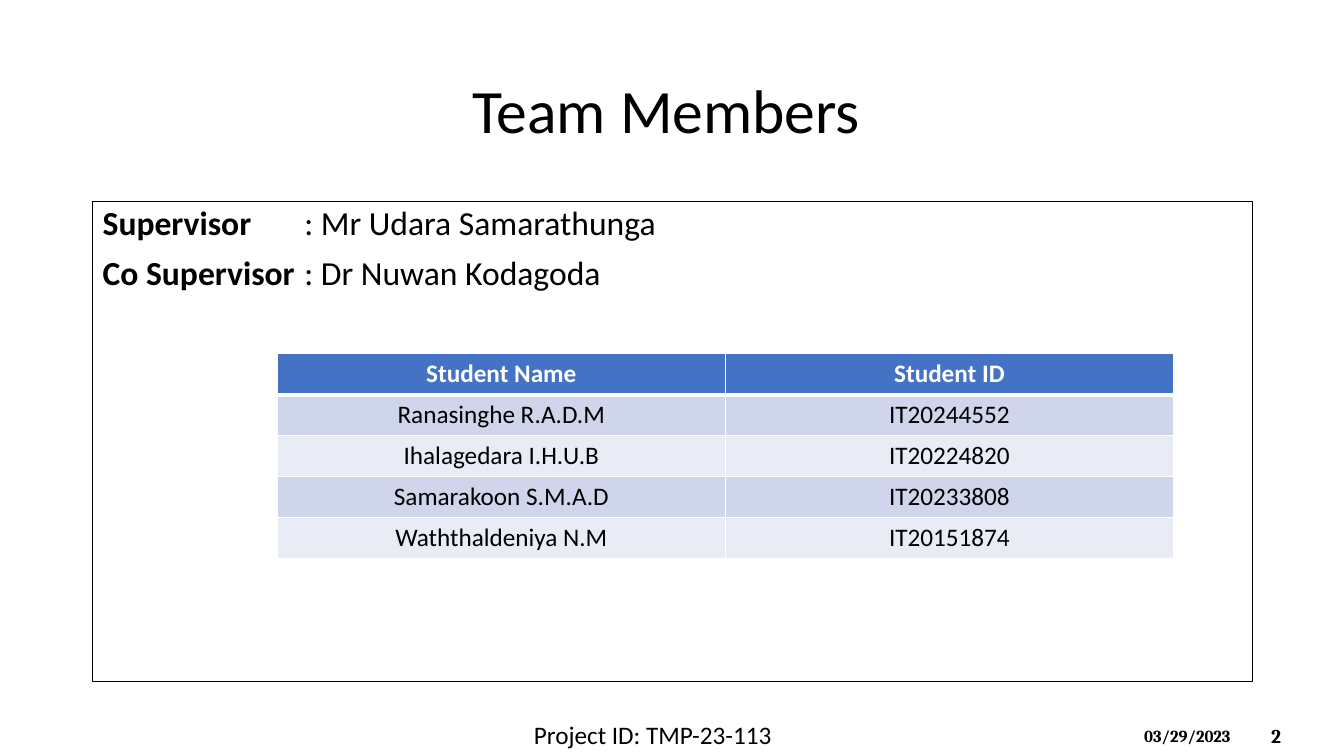
"""Build the team members slide."""
from lxml import etree
from pptx import Presentation
from pptx.dml.color import RGBColor
from pptx.enum.shapes import MSO_SHAPE
from pptx.enum.text import MSO_ANCHOR, PP_ALIGN
from pptx.oxml.ns import qn
from pptx.util import Inches, Pt

LEFT, MID = PP_ALIGN.LEFT, PP_ALIGN.CENTER
TOP, CENTER, LOW = MSO_ANCHOR.TOP, MSO_ANCHOR.MIDDLE, MSO_ANCHOR.BOTTOM
RECT = MSO_SHAPE.RECTANGLE
BLACK, WHITE, BLUE = "000000", "FFFFFF", "4472C4"
BANDS = ["CFD5EA", "E9EBF5"]

STAFF = [("Supervisor", "Mr Udara Samarathunga"),
         ("Co Supervisor", "Dr Nuwan Kodagoda")]
TEAM = [("Student Name", "Student ID"),
        ("Ranasinghe R.A.D.M", "IT20244552"),
        ("Ihalagedara I.H.U.B", "IT20224820"),
        ("Samarakoon S.M.A.D", "IT20233808"),
        ("Waththaldeniya N.M", "IT20151874")]
LABELS = [
    ("03/29/2023", (11.25, 7.15, 1.17, 0.3), TOP,
     dict(size=12, font="Cambria", bold=True)),
    ("2", (12.51, 7.1, 0.74, 0.4), CENTER,
     dict(size=14, font="Cambria", bold=True)),
    ("Project ID: TMP-23-113", (2.75, 7.09, 7.45, 0.4), CENTER,
     dict(size=18, align=MID)),
    ("Team Members", (0.86, 0.06, 11.5, 1.45), LOW,
     dict(size=44, align=MID, lead=0.9)),
]
PANEL = (0.92, 2, 11.5, 4.76)
GRID = (2.75, 3.51, 8.89, 2.03)
TAB = 2


def paint(hue):
    return RGBColor.from_string(hue)


def write(para, text, size=18, font="Calibri", hue=BLACK, bold=False,
          align=LEFT, lead=None):
    para.alignment = align
    if lead:
        para.line_spacing = lead
    run = para.add_run()
    run.text = text
    run.font.size, run.font.name, run.font.bold = Pt(size), font, bold
    run.font.color.rgb = paint(hue)


def add_tab(para, inch):
    stops = etree.SubElement(para._p.get_or_add_pPr(), qn("a:tabLst"))
    etree.SubElement(stops, qn("a:tab"), pos=str(Inches(inch)), algn="l")


def edge(cell, side, width):
    line = etree.SubElement(cell._tc.get_or_add_tcPr(), qn("a:ln" + side),
                            w=str(Pt(width)))
    fill = etree.SubElement(line, qn("a:solidFill"))
    etree.SubElement(fill, qn("a:srgbClr"), val=WHITE)


def add_label(slide, text, spot, anchor, form):
    frame = slide.shapes.add_textbox(*map(Inches, spot)).text_frame
    frame.word_wrap = True
    frame.vertical_anchor = anchor
    write(frame.paragraphs[0], text, **form)


def add_panel(slide):
    box = slide.shapes.add_shape(RECT, *map(Inches, PANEL))
    box.shadow.inherit = False
    box.fill.background()
    box.line.color.rgb = paint(BLACK)
    box.line.width = Pt(0.75)
    frame = box.text_frame
    frame.word_wrap = True
    frame.vertical_anchor = TOP
    for i, (role, name) in enumerate(STAFF):
        para = frame.add_paragraph() if i else frame.paragraphs[0]
        if i:
            para.space_before = Pt(10)
        para.line_spacing = 0.9
        add_tab(para, TAB)
        write(para, role, size=24, bold=True)
        write(para, "\t: " + name, size=24)


def add_team(slide):
    table = slide.shapes.add_table(len(TEAM), len(TEAM[0]),
                                   *map(Inches, GRID)).table
    for r, row in enumerate(TEAM):
        head = r == 0
        for c, text in enumerate(row):
            cell = table.cell(r, c)
            for side in "LRTB":
                thick = head and side == "B" or r == 1 and side == "T"
                edge(cell, side, 3 if thick else 1)
            cell.fill.solid()
            cell.fill.fore_color.rgb = paint(BLUE if head else BANDS[(r - 1) % 2])
            write(cell.text_frame.paragraphs[0], text, align=MID, bold=head,
                  hue=WHITE if head else BLACK)


def main():
    deck = Presentation()
    deck.slide_width, deck.slide_height = Inches(13.33), Inches(7.5)
    slide = deck.slides.add_slide(deck.slide_layouts[6])
    for label in LABELS:
        add_label(slide, *label)
    add_panel(slide)
    add_team(slide)
    deck.save("out.pptx")


if __name__ == "__main__":
    main()
